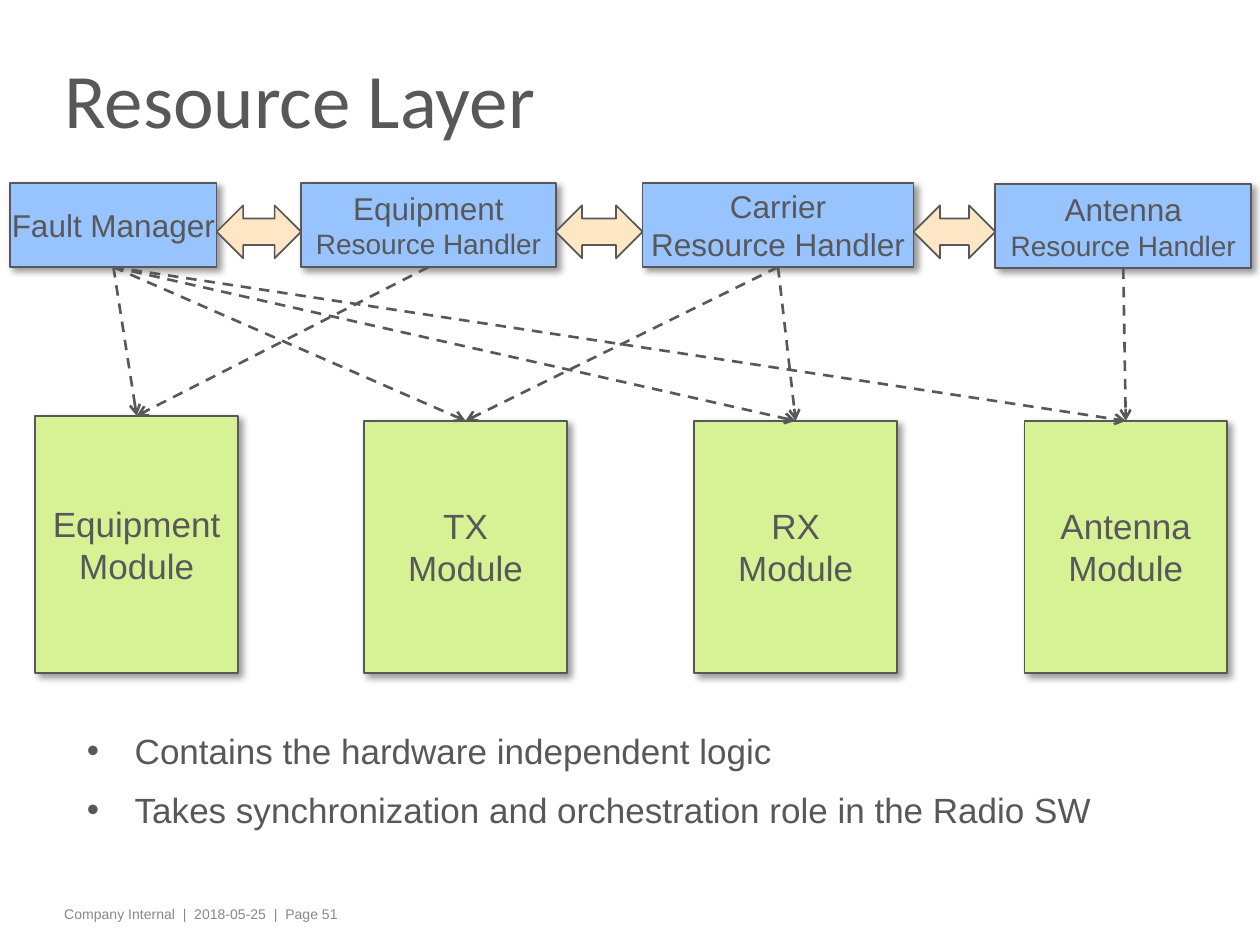
from itertools import pairwise

from lxml import etree
from pptx import Presentation
from pptx import util as u
from pptx.dml.color import RGBColor
from pptx.enum import dml, shapes, text
from pptx.oxml import ns

PX = 9144
INK = "58585A"


def px(length):
    """Turn px, 100 to the inch, into EMU."""
    return u.Emu(length * PX)


def color(value):
    """Turn a hex string into a colour."""
    return RGBColor.from_string(value)


def add_xml(parent, tag, **attributes):
    """Append a DrawingML element and return it."""
    return etree.SubElement(parent, ns.qn(f"a:{tag}"), attributes)


def write_text(shape, paragraphs, *, size=18, last_size=None, font="Arial", ink=INK,
               align=text.PP_ALIGN.LEFT, anchor=text.MSO_ANCHOR.TOP, wrap=True,
               margin=5, spacing=None, gap=0, bullet=None):
    """Write paragraphs, whose lines are split by line breaks, into a shape."""
    frame = shape.text_frame
    frame.word_wrap = wrap
    frame.vertical_anchor = anchor
    frame.margin_left = frame.margin_right = px(8)
    frame.margin_top = frame.margin_bottom = px(margin)
    for index, content in enumerate(paragraphs):
        paragraph = frame.add_paragraph() if index else frame.paragraphs[0]
        paragraph.alignment = align
        if spacing:
            paragraph.line_spacing = spacing
        if index:
            paragraph.space_before = u.Pt(gap)
        if bullet:
            properties = paragraph._p.get_or_add_pPr()
            properties.set("marL", str(px(38)))
            properties.set("indent", str(px(-38)))
            add_xml(properties, "buFont", typeface="Arial")
            add_xml(properties, "buChar", char=bullet)
        for number, line in enumerate(content.split("\n")):
            if number:
                paragraph.add_line_break()
            run = paragraph.add_run()
            run.text = line
            run.font.name = font
            run.font.size = u.Pt(last_size if number and last_size else size)
            run.font.color.rgb = color(ink)


def add_text(slide, box, paragraphs, **style):
    """Add a text box at left, top, width, height."""
    textbox = slide.shapes.add_textbox(*map(px, box))
    write_text(textbox, paragraphs, **style)
    return textbox


def add_outlined(slide, preset, box, fill):
    """Add a filled preset shape with a thin outline and no shadow."""
    shape = slide.shapes.add_shape(preset, *map(px, box))
    shape.shadow.inherit = False
    shape.fill.solid()
    shape.fill.fore_color.rgb = color(fill)
    shape.line.color.rgb = color(INK)
    shape.line.width = u.Pt(1)
    return shape


def add_block(slide, box, fill, label, **style):
    """Add a rectangle with a centred label and a soft shadow."""
    block = add_outlined(slide, shapes.MSO_SHAPE.RECTANGLE, box, fill)
    effects = block._element.spPr.find(ns.qn("a:effectLst"))
    shadow = add_xml(effects, "outerShdw", blurRad=str(u.Pt(4)), dist=str(u.Pt(3)),
                     dir="2700000", algn="tl", rotWithShape="0")
    add_xml(add_xml(shadow, "srgbClr", val="000000"), "alpha", val="40000")
    write_text(block, [label], align=text.PP_ALIGN.CENTER,
               anchor=text.MSO_ANCHOR.MIDDLE, wrap=False, **style)
    return block


def add_handlers(slide, left, top):
    """Place the row of managers and handlers."""
    handlers = [
        (0, 0, 164, "Fault Manager", 18),
        (231, 0, 202, "Equipment\nResource Handler", 16),
        (502, 0, 215, "Carrier\nResource Handler", 18),
        (782, 1, 203, "Antenna\nResource Handler", 16),
    ]
    return [add_block(slide, (left + x, top + y, width, 67), "97C3FF", label,
                      last_size=last_size)
            for x, y, width, label, last_size in handlers]


def add_modules(slide, left, top, span):
    """Place the hardware modules at equal steps across a span."""
    modules = []
    for index, name in enumerate(["Equipment", "TX", "RX", "Antenna"]):
        drop = 4 if index else 0
        box = (left + index * span // 3, top + drop, 161, 204 - drop)
        modules.append(add_block(slide, box, "D6F294", f"{name}\nModule", size=20))
    return modules


def add_dependency(slide, handler, module):
    """Join a handler's bottom to a module's top with a dashed arrow."""
    dependency = slide.shapes.add_connector(shapes.MSO_CONNECTOR.STRAIGHT, 0, 0, 0, 0)
    dependency.begin_connect(handler, 2)
    dependency.end_connect(module, 0)
    dependency.line.color.rgb = color(INK)
    dependency.line.width = u.Pt(1.5)
    dependency.line.dash_style = dml.MSO_LINE.DASH
    add_xml(dependency.line._get_or_add_ln(), "tailEnd", type="arrow")
    add_xml(dependency._element.spPr, "effectLst")


def add_exchanges(slide, handlers, top):
    """Fill the gap between neighbouring handlers with a double arrow."""
    for handler, neighbour in pairwise(handlers):
        start = (handler.left + handler.width) // PX
        width = neighbour.left // PX - start
        add_outlined(slide, shapes.MSO_SHAPE.LEFT_RIGHT_ARROW,
                     (start, top, width, 42), "FFE6C4")


def add_resource_layer(slide, left, top):
    """Draw the handlers, the modules and the links between them."""
    handlers = add_handlers(slide, left, top)
    modules = add_modules(slide, left + 20, top + 185, 785)
    targets = [(0, 1, 2, 3), (0,), (1, 2), (3,)]
    for handler, indexes in zip(handlers, targets):
        for index in indexes:
            add_dependency(slide, handler, modules[index])
    add_exchanges(slide, handlers, top + 18)


def add_notes(slide, box):
    """Add the bulleted remarks under the diagram."""
    remarks = add_text(slide, box, [
        "Contains the hardware independent logic",
        "Takes synchronization and orchestration role in the Radio SW",
    ], size=20, gap=10, bullet="•")
    remarks.text_frame.auto_size = text.MSO_AUTO_SIZE.SHAPE_TO_FIT_TEXT


def main():
    """Build and save the slide."""
    deck = Presentation()
    deck.slide_width, deck.slide_height = px(1000), px(750)
    slide = deck.slides.add_slide(deck.slide_layouts[6])
    add_text(slide, (43, 714, 809, 24), ["Company Internal  |  2018-05-25  |  Page 51"],
             size=8, ink="87888A")
    add_text(slide, (43, 26, 848, 119), ["Resource Layer"], size=44, font="Calibri",
             anchor=text.MSO_ANCHOR.MIDDLE, margin=0, spacing=0.75)
    add_resource_layer(slide, 8, 145)
    add_notes(slide, (61, 574, 867, 94))
    deck.save("out.pptx")


if __name__ == "__main__":
    main()
